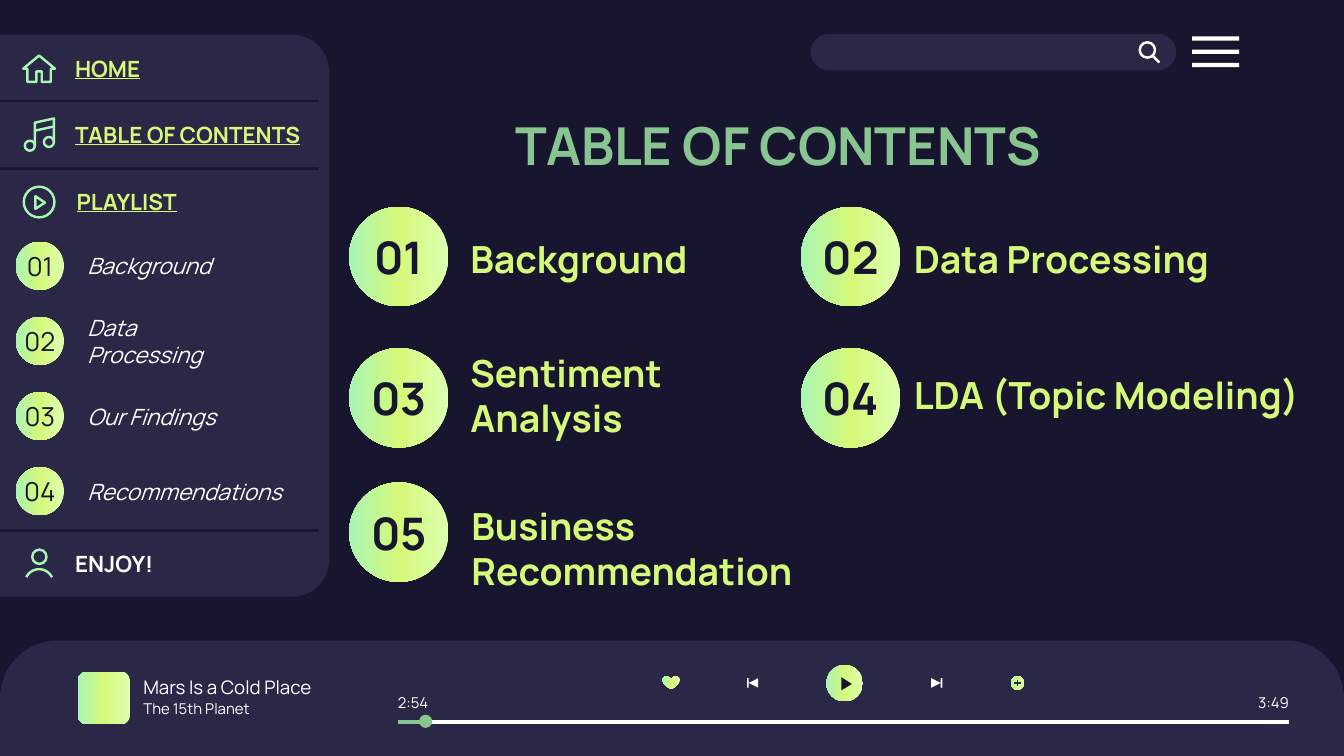
from copy import deepcopy
from math import cos, radians, sin

from pptx import Presentation
from pptx.dml.color import RGBColor
from pptx.enum.shapes import MSO_CONNECTOR, MSO_SHAPE
from pptx.enum.text import MSO_ANCHOR, PP_ALIGN
from pptx.oxml.ns import qn
from pptx.util import Cm, Pt

RECT, ROUND, OVAL = MSO_SHAPE.RECTANGLE, MSO_SHAPE.ROUNDED_RECTANGLE, MSO_SHAPE.OVAL
TOP_ROUND, HEART = MSO_SHAPE.ROUND_2_SAME_RECTANGLE, MSO_SHAPE.HEART
STRAIGHT = MSO_CONNECTOR.STRAIGHT
LEFT, CENTER, RIGHT = PP_ALIGN.LEFT, PP_ALIGN.CENTER, PP_ALIGN.RIGHT
MIDDLE = MSO_ANCHOR.MIDDLE

FONT = "Manrope"
COLORS = {
    "night": "17162E", "panel": "2A2747", "white": "FFFFFF", "sage": "88C591",
    "lime": "D5F979", "mint": "A9F5B4", "pale": "DDFFB2",
}
GLOW = ("pale", "lime", "mint")
ICON_WIDTH = 1.3


def rgb(name):
    return RGBColor.from_string(COLORS[name])


def paint(s, fill=None, line=None, width=ICON_WIDTH):
    s.shadow.inherit = False
    if fill == GLOW:
        s.fill.gradient()
        s.fill.gradient_angle = 180
        first = next(s._element.spPr.iter(qn("a:gs")))
        first.addnext(deepcopy(first))
        for i, stop in enumerate(s.fill.gradient_stops):
            stop.position = i / 2
            stop.color.rgb = rgb(GLOW[i])
    elif fill:
        s.fill.solid()
        s.fill.fore_color.rgb = rgb(fill)
    else:
        s.fill.background()
    if line:
        s.line.color.rgb = rgb(line)
        s.line.width = Pt(width)
    else:
        s.line.fill.background()
    return s


def add_shape(shapes, kind, x, y, w, h, fill=None, line=None, adj=()):
    s = shapes.add_shape(kind, Cm(x), Cm(y), Cm(w), Cm(h))
    for i, value in enumerate(adj):
        s.adjustments[i] = value
    return paint(s, fill, line)


def add_outline(shapes, points, fill=None, line=None, close=True):
    pts = [(Cm(x), Cm(y)) for x, y in points]
    fb = shapes.build_freeform(*pts[0])
    fb.add_line_segments(pts[1:], close=close)
    return paint(fb.convert_to_shape(), fill, line)


def add_line(shapes, x1, y1, x2, y2, color, width=ICON_WIDTH):
    c = shapes.add_connector(STRAIGHT, Cm(x1), Cm(y1), Cm(x2), Cm(y2))
    c.line.color.rgb = rgb(color)
    c.line.width = Pt(width)
    c._element.spPr.append(c._element.makeelement(qn("a:effectLst"), {}))


def write(s, text, size, color, align=LEFT, inset=0.25, wrap=True,
          bold=False, italic=False, underline=False):
    tf = s.text_frame
    tf.word_wrap = wrap
    tf.vertical_anchor = MIDDLE
    tf.margin_left = tf.margin_right = Cm(inset)
    tf.margin_top = tf.margin_bottom = Cm(0.25)
    p = tf.paragraphs[0]
    p.text = text
    p.alignment = align
    font = p.font
    font.name, font.size, font.color.rgb = FONT, Pt(size), rgb(color)
    font.bold, font.italic, font.underline = bold, italic, underline


def add_text(shapes, x, y, w, h, text, size, color, **style):
    write(shapes.add_textbox(Cm(x), Cm(y), Cm(w), Cm(h)), text, size, color, **style)


def add_badge(shapes, x, y, d, text, size, bold=False):
    s = add_shape(shapes, OVAL, x, y, d, d, GLOW)
    write(s, text, size, "night", align=CENTER, inset=0, wrap=False, bold=bold)


def add_search(shapes):
    add_shape(shapes, ROUND, 15.32, 0.64, 6.91, 0.69, "panel", adj=[0.5])
    for i in range(3):
        add_shape(shapes, RECT, 22.53, 0.69 + 0.25 * i, 0.89, 0.08, "white")
    add_shape(shapes, OVAL, 21.54, 0.8, 0.29, 0.29, line="white")
    add_line(shapes, 21.78, 1.05, 21.91, 1.18, "white")


def add_player(shapes):
    add_shape(shapes, TOP_ROUND, 0, 12.11, 25.4, 2.18, "panel", adj=[0.5, 0])
    add_shape(shapes, ROUND, 1.47, 12.7, 0.99, 0.99, GLOW, adj=[0.167])
    add_text(shapes, 2.46, 12.78, 4.85, 0.43, "Mars Is a Cold Place", 10, "white")
    add_text(shapes, 2.46, 13.18, 2.92, 0.43, "The 15th Planet", 8, "white")
    for x, time, align in ((7.52, "2:54", LEFT), (23.67, "3:49", RIGHT)):
        add_text(shapes, x, 13.06, 0.69, 0.43, time, 8, "white", align=align, inset=0)

    add_shape(shapes, HEART, 12.52, 12.78, 0.33, 0.25, GLOW)
    for bar, base, tip in ((14.12, 14.33, 14.15), (17.78, 17.6, 17.78)):
        add_shape(shapes, RECT, bar, 12.82, 0.03, 0.18, "white")
        add_outline(shapes, [(base, 12.82), (base, 13), (tip, 12.91)], "white")
    add_shape(shapes, OVAL, 15.62, 12.57, 0.69, 0.69, GLOW)
    add_outline(shapes, [(15.9, 12.8), (15.9, 13.05), (16.1, 12.93)], "night")
    add_shape(shapes, OVAL, 19.1, 12.78, 0.26, 0.26, GLOW)
    for dx, dy in ((0.06, 0), (0, 0.06)):
        add_line(shapes, 19.23 - dx, 12.91 - dy, 19.23 + dx, 12.91 + dy, "panel", 0.75)

    for end, color in ((24.36, "white"), (8.05, "sage")):
        add_line(shapes, 7.52, 13.64, end, 13.64, color, 2.25)
    add_shape(shapes, OVAL, 7.92, 13.51, 0.25, 0.25, "sage")


def add_contents(shapes):
    add_text(shapes, 6.63, 1.93, 16.15, 1.6, "TABLE OF CONTENTS", 28, "sage",
             align=CENTER, bold=True)
    items = (
        ("Background", 6.6, 3.91, 8.64, 3.71, 5.79, 2.34),
        ("Data Processing", 15.14, 3.91, 17.02, 3.71, 7.95, 2.34),
        ("Sentiment Analysis", 6.6, 6.58, 8.64, 6.73, 6.5, 1.47),
        ("LDA (Topic Modeling)", 15.14, 6.58, 17.02, 6.73, 7.95, 1.47),
        ("Business Recommendation", 6.6, 9.12, 8.66, 9.35, 7.62, 2.03),
    )
    for i, (text, x, y, *box) in enumerate(items, 1):
        add_badge(shapes, x, y, 1.88, f"{i:02}", 24, bold=True)
        add_text(shapes, *box, text, 20, "lime", bold=True)


def add_menu_icons(shapes):
    house = [(0.74, 1.05), (1.04, 1.3), (0.96, 1.3), (0.96, 1.55), (0.79, 1.55),
             (0.79, 1.35), (0.69, 1.35), (0.69, 1.55), (0.52, 1.55), (0.52, 1.3),
             (0.44, 1.3)]
    note = [(0.66, 2.76), (0.66, 2.32), (1.02, 2.24), (1.02, 2.68)]
    shoulders = [(0.74 + 0.27 * sin(radians(a)), 11.03 - 0.27 * cos(radians(a)))
                 for a in range(-64, 65, 8)]
    add_outline(shapes, house, line="mint")
    add_outline(shapes, note, line="mint", close=False)
    add_line(shapes, 0.66, 2.47, 1.02, 2.39, "mint")
    add_outline(shapes, [(0.67, 3.71), (0.67, 3.95), (0.85, 3.83)], line="mint")
    add_outline(shapes, shoulders, line="mint", close=False)
    for x, y, d in ((0.47, 2.66, 0.19), (0.83, 2.59, 0.19),
                    (0.45, 3.53, 0.58), (0.61, 10.39, 0.27)):
        add_shape(shapes, OVAL, x, y, d, d, line="mint")


def add_sidebar(shapes):
    add_shape(shapes, RECT, 0, 0.66, 3.1, 10.62, "panel")
    add_shape(shapes, ROUND, 0, 0.66, 6.22, 10.62, "panel", adj=[0.111])
    for y in (1.91, 3.18, 10.03):
        add_line(shapes, 6.02, y, 0, y, "night", 1.5)
    menu = (("HOME", 1.17, 0.84), ("TABLE OF CONTENTS", 1.17, 2.08),
            ("PLAYLIST", 1.2, 3.35))
    for text, x, y in menu:
        add_text(shapes, x, y, 5.28, 0.91, text, 12, "lime", bold=True, underline=True)
    add_text(shapes, 1.17, 10.19, 5.28, 0.91, "ENJOY!", 12, "white", bold=True)
    add_menu_icons(shapes)

    playlist = (("Background", 3.48), ("Data Processing", 3.07),
                ("Our Findings", 3.48), ("Recommendations", 4.98))
    for i, (text, w) in enumerate(playlist):
        y = 4.57 + 1.42 * i
        add_badge(shapes, 0.3, y, 0.91, f"{i + 1:02}", 14)
        add_text(shapes, 1.4, y - 0.2, w, 1.32, text, 12, "white", italic=True)


def main():
    prs = Presentation()
    prs.slide_width, prs.slide_height = Cm(25.4), Cm(14.29)
    slide = prs.slides.add_slide(prs.slide_layouts[6])
    slide.background.fill.solid()
    slide.background.fill.fore_color.rgb = rgb("night")
    for add_section in (add_search, add_player, add_contents, add_sidebar):
        add_section(slide.shapes)
    prs.save("out.pptx")


if __name__ == "__main__":
    main()
